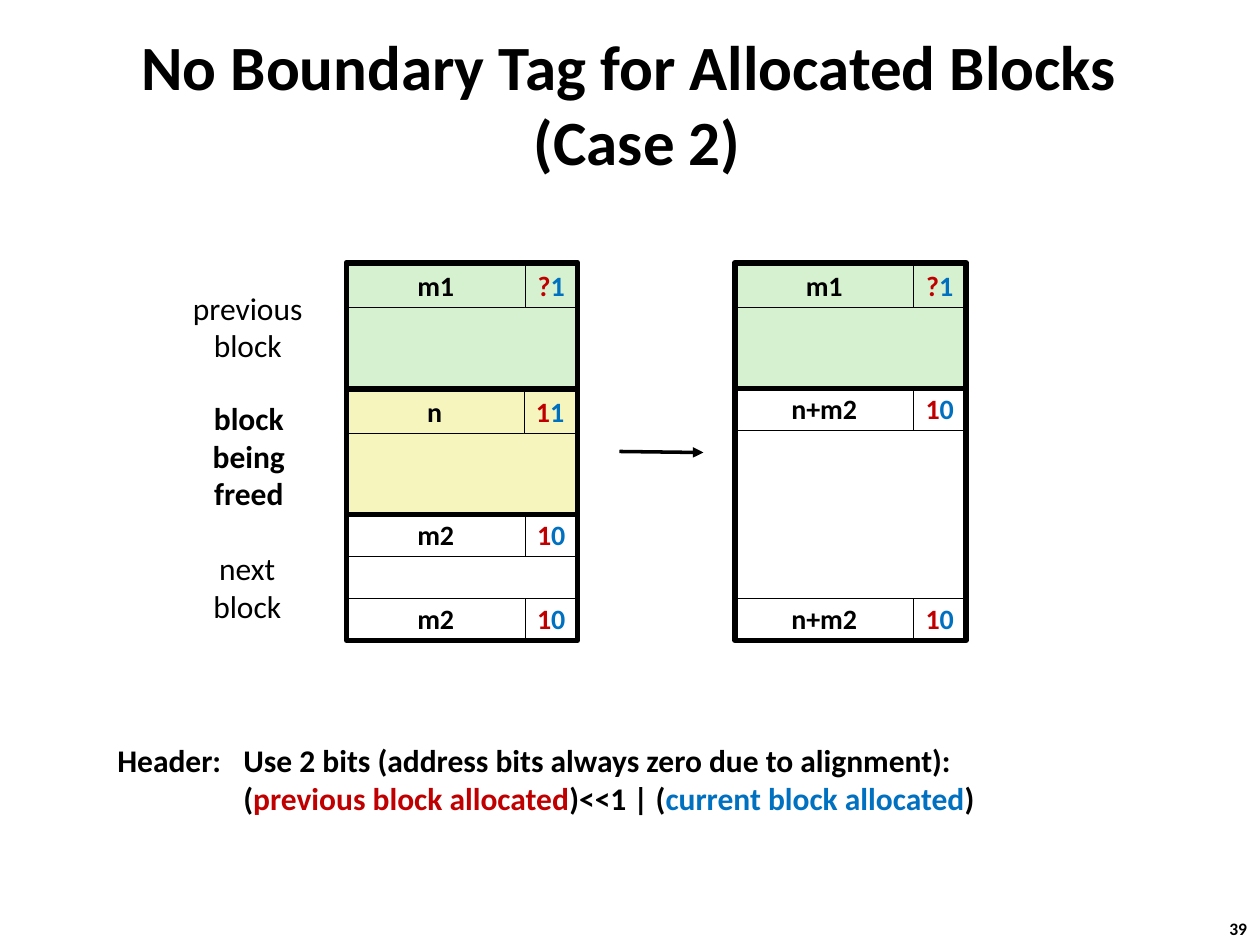
import dataclasses
import typing
import lxml.etree
import pptx
import pptx.dml.color
import pptx.enum.shapes
import pptx.enum.text
import pptx.oxml.ns
import pptx.util

SCALE = 7620
FONT = "Calibri"
HUES = {
    "black": "000000",
    "white": "FFFFFF",
    "green": "D5F1CF",
    "yellow": "F6F5BD",
    "red": "C00000",
    "blue": "0070C0",
}
WIDE, SIDE, ROW = 220, 50, 40
LEFT, RIGHT = 330, 700
Part = tuple[str, str]


@dataclasses.dataclass
class Head:
    x: int
    y: int
    name: str
    flag: str
    fill: str


@dataclasses.dataclass
class Rest:
    x: int
    y: int
    h: int
    fill: str


@dataclasses.dataclass
class Frame:
    x: int
    y: int
    h: int


@dataclasses.dataclass
class Label:
    x: int
    y: int
    w: int
    h: int
    text: str
    bold: bool = False


Item = typing.Union[Head, Rest, Frame]

OLD: list[Item] = [
    Rest(LEFT, 293, 80, "green"),
    Head(LEFT, 253, "m1", "?1", "green"),
    Frame(LEFT, 250, 120),
    Rest(LEFT + 1, 408, 80, "yellow"),
    Head(LEFT - 1, 373, "n", "11", "yellow"),
    Frame(LEFT, 370, 120),
    Head(LEFT, 490, "m2", "10", "white"),
    Rest(LEFT, 530, ROW, "white"),
    Head(LEFT, 570, "m2", "10", "white"),
    Frame(LEFT, 490, 120),
]
NEW: list[Item] = [
    Rest(RIGHT, 292, 80, "green"),
    Head(RIGHT, 253, "m1", "?1", "green"),
    Frame(RIGHT, 250, 120),
    Head(RIGHT, 370, "n+m2", "10", "white"),
    Head(RIGHT, 570, "n+m2", "10", "white"),
    Rest(RIGHT, 410, 160, "white"),
    Frame(RIGHT, 370, 240),
]
LABELS = [
    Label(170, 269, 132, 85, "previous\nblock"),
    Label(190, 374, 94, 121, "block\nbeing\nfreed", True),
    Label(190, 517, 91, 85, "next\nblock"),
]


def px(num: int) -> pptx.util.Emu:
    return pptx.util.Emu(num * SCALE)


def hue(name: str) -> pptx.dml.color.RGBColor:
    return pptx.dml.color.RGBColor.from_string(HUES[name])


def write(frame, text: str | list[Part], *, size: int, bold: bool = True,
          align: str = "LEFT", wrap: bool = False, anchor: str = "TOP",
          space: float | None = None, tab: int = 0, hang: int = 0) -> None:
    frame.word_wrap = wrap
    frame.auto_size = pptx.enum.text.MSO_AUTO_SIZE.NONE
    frame.vertical_anchor = getattr(pptx.enum.text.MSO_ANCHOR, anchor)
    para = frame.paragraphs[0]
    para.alignment = getattr(pptx.enum.text.PP_ALIGN, align)
    if space:
        para.line_spacing = space
    props = para._p.get_or_add_pPr()
    if hang:
        props.set("marL", str(px(hang)))
        props.set("indent", str(px(-hang)))
    if tab:
        tabs = lxml.etree.SubElement(props, pptx.oxml.ns.qn("a:tabLst"))
        lxml.etree.SubElement(tabs, pptx.oxml.ns.qn("a:tab"), pos=str(px(tab)), algn="l")
    parts = [(text, "black")] if isinstance(text, str) else text
    for words, color in parts:
        for spot, line in enumerate(words.split("\n")):
            if spot:
                para.add_line_break()
            run = para.add_run()
            run.text = line
            run.font.name = FONT
            run.font.size = pptx.util.Pt(size)
            run.font.bold = bold
            run.font.color.rgb = hue(color)


def box(shapes, x: int, y: int, w: int, h: int, fill: str | None, line: float):
    rect = shapes.add_shape(pptx.enum.shapes.MSO_SHAPE.RECTANGLE, px(x), px(y), px(w), px(h))
    rect.shadow.inherit = False
    if fill:
        rect.fill.solid()
        rect.fill.fore_color.rgb = hue(fill)
    else:
        rect.fill.background()
    rect.line.color.rgb = hue("black")
    rect.line.width = pptx.util.Pt(line)
    return rect


def draw(shapes, items: list[Item]) -> None:
    for item in items:
        match item:
            case Rest(x, y, h, fill):
                box(shapes, x, y, WIDE, h, fill, 0.25)
            case Frame(x, y, h):
                box(shapes, x, y, WIDE, h, None, 3)
            case Head(x, y, name, flag, fill):
                main = WIDE - SIDE
                bits = [(flag[0], "red"), (flag[1], "blue")]
                for start, width, text in ((x, main, name), (x + main, SIDE, bits)):
                    cell = box(shapes, start, y, width, ROW, fill, 0.25)
                    write(cell.text_frame, text, size=16, align="CENTER",
                          anchor="MIDDLE", space=0.98)


def arrow(shapes, x: int, y: int, end: int, low: int) -> None:
    line = shapes.add_connector(pptx.enum.shapes.MSO_CONNECTOR.STRAIGHT,
                                px(x), px(y), px(end), px(low))
    line.line.color.rgb = hue("black")
    line.line.width = pptx.util.Pt(2)
    props = line.element.spPr
    lxml.etree.SubElement(props.find(pptx.oxml.ns.qn("a:ln")),
                          pptx.oxml.ns.qn("a:tailEnd"), type="triangle")
    lxml.etree.SubElement(props, pptx.oxml.ns.qn("a:effectLst"))


def note(shapes, x: int, y: int, w: int, h: int, text: str | list[Part], **form) -> None:
    area = shapes.add_textbox(px(x), px(y), px(w), px(h))
    write(area.text_frame, text, **form)


def main() -> None:
    deck = pptx.Presentation()
    deck.slide_width, deck.slide_height = px(1200), px(900)
    slide = deck.slides.add_slide(deck.slide_layouts[5])
    shapes = slide.shapes

    title = shapes.title
    title.left, title.top, title.width, title.height = px(19), px(60), px(1160), px(76)
    write(title.text_frame, "No Boundary Tag for Allocated Blocks\n(Case 2)",
          size=36, align="CENTER", wrap=True, anchor="MIDDLE", hang=16)

    draw(shapes, OLD)
    group = shapes.add_group_shape().shapes
    draw(group, NEW)
    arrow(group, 590, 430, 670, 431)

    for tag in LABELS:
        note(shapes, tag.x, tag.y, tag.w, tag.h, tag.text,
             size=18, bold=tag.bold, align="CENTER")
    note(shapes, 100, 700, 847, 85, [
        ("Header:\tUse 2 bits (address bits always zero due to alignment):\n\t(", "black"),
        ("previous block allocated", "red"),
        (")<<1 | (", "black"),
        ("current block allocated", "blue"),
        (")", "black"),
    ], size=18, tab=120)
    note(shapes, 1159, 868, 44, 32, "39", size=10)

    deck.save("out.pptx")


if __name__ == "__main__":
    main()
